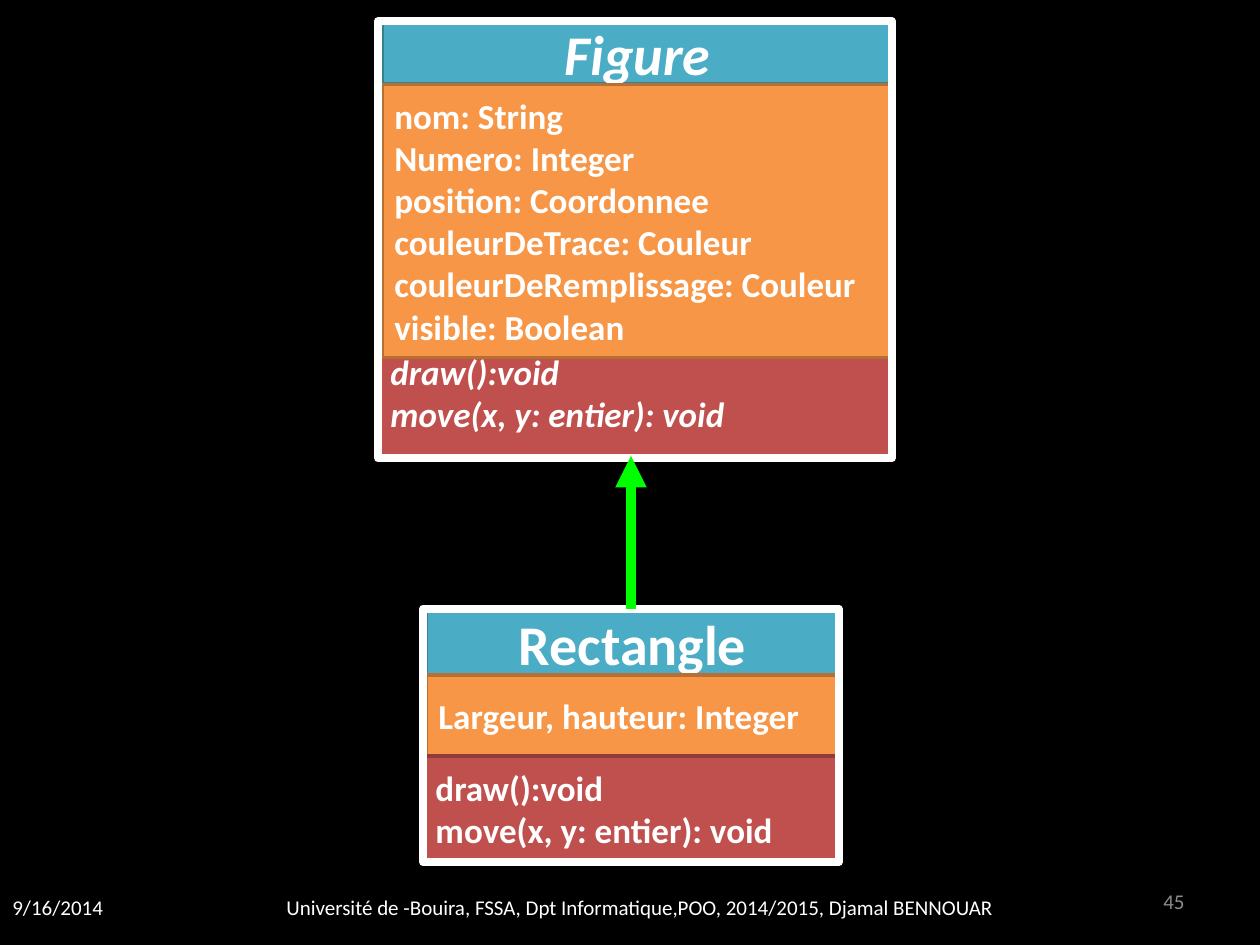
from lxml import etree
from pptx import Presentation
from pptx import util as u
from pptx.dml.color import RGBColor
from pptx.enum import shapes, text
from pptx.oxml.ns import qn

Cm, Pt = u.Cm, u.Pt
LEFT, CENTER, RIGHT = text.PP_ALIGN.LEFT, text.PP_ALIGN.CENTER, text.PP_ALIGN.RIGHT


def rgb(value):
    return RGBColor.from_string(value)


def write(sp, lines, size, color="FFFFFF", align=LEFT, bold=False, italic=False):
    tf = sp.text_frame
    tf.word_wrap = True
    tf.vertical_anchor = text.MSO_ANCHOR.MIDDLE
    for i, line in enumerate(lines):
        p = tf.paragraphs[0] if i == 0 else tf.add_paragraph()
        p.alignment = align
        r = p.add_run()
        r.text = line
        r.font.name = "Calibri"
        r.font.size = Pt(size)
        r.font.bold = bold
        r.font.italic = italic
        r.font.color.rgb = rgb(color)


prs = Presentation()
prs.slide_width, prs.slide_height = Cm(25.4), Cm(19.05)
s = prs.slides.add_slide(prs.slide_layouts[6])
s.background.fill.solid()
s.background.fill.fore_color.rgb = rgb("000000")

# Footer: date, course, slide number
footer = [
    ((0, 17.78, 3.18), "9/16/2014", LEFT, "FFFFFF"),
    ((2.74, 17.78, 20.32),
     "Université de -Bouira, FSSA, Dpt Informatique,POO, 2014/2015, Djamal BENNOUAR",
     CENTER, "FFFFFF"),
    ((18.21, 17.65, 5.92), "45", RIGHT, "8C8C8C"),
]
for (x, y, w), label, align, color in footer:
    sp = s.shapes.add_textbox(Cm(x), Cm(y), Cm(w), Cm(1.02))
    write(sp, [label], 12, color, align)

# Class boxes: compartments from back to front, then the outer frame
STYLES = {  # fill, line, text size, alignment
    "name": ("4BACC6", "377F92", 32, CENTER),
    "attributes": ("F79646", "B76F34", 20, LEFT),
    "methods": ("C0504D", "8E3B39", 20, LEFT),
}
METHODS = ["draw():void", "move(x, y: entier): void"]
figure_parts = [  # compartment, left, top, width, height, lines, italic
    ("methods", 7.62, 6.58, 10.31, 2.67, METHODS, True),
    ("name", 7.7, 0.43, 10.31, 1.27, ["Figure"], True),
    ("attributes", 7.7, 1.7, 10.31, 5.51,
     ["nom: String", "Numero: Integer", "position: Coordonnee",
      "couleurDeTrace: Couleur", "couleurDeRemplissage: Couleur",
      "visible: Boolean"], False),
]
rectangle_parts = [
    ("name", 8.59, 12.27, 8.33, 1.37, ["Rectangle"], False),
    ("attributes", 8.59, 13.61, 8.33, 1.63, ["Largeur, hauteur: Integer"], False),
    ("methods", 8.53, 15.24, 8.33, 2.11, METHODS, False),
]
classes = [
    (figure_parts, (7.62, 0.43, 10.36, 8.81)),
    (rectangle_parts, (8.53, 12.27, 8.38, 5.11)),
]
for parts, box in classes:
    group = s.shapes.add_group_shape()
    for kind, x, y, w, h, lines, italic in parts:
        fill, line, size, align = STYLES[kind]
        sp = group.shapes.add_shape(shapes.MSO_SHAPE.RECTANGLE, Cm(x), Cm(y), Cm(w), Cm(h))
        sp.shadow.inherit = False
        sp.fill.solid()
        sp.fill.fore_color.rgb = rgb(fill)
        sp.line.color.rgb = rgb(line)
        sp.line.width = Pt(2)
        write(sp, lines, size, align=align, bold=True, italic=italic)
    frame = group.shapes.add_shape(shapes.MSO_SHAPE.RECTANGLE, *map(Cm, box))
    frame.shadow.inherit = False
    frame.fill.background()
    frame.line.color.rgb = rgb("FFFFFF")
    frame.line.width = Pt(4.5)
    etree.SubElement(frame.line._get_or_add_ln(), qn("a:round"))

# Inheritance arrow, from the top of Rectangle (the last frame) to Figure
arrow = s.shapes.add_connector(
    shapes.MSO_CONNECTOR.STRAIGHT, Cm(12.72), Cm(12.27), Cm(12.72), Cm(9.19))
arrow.begin_connect(frame, 0)
arrow.line.color.rgb = rgb("00FF00")
arrow.line.width = Pt(6)
etree.SubElement(arrow.line._get_or_add_ln(), qn("a:tailEnd"), type="triangle")
etree.SubElement(arrow._element.spPr, qn("a:effectLst"))

prs.save("out.pptx")
